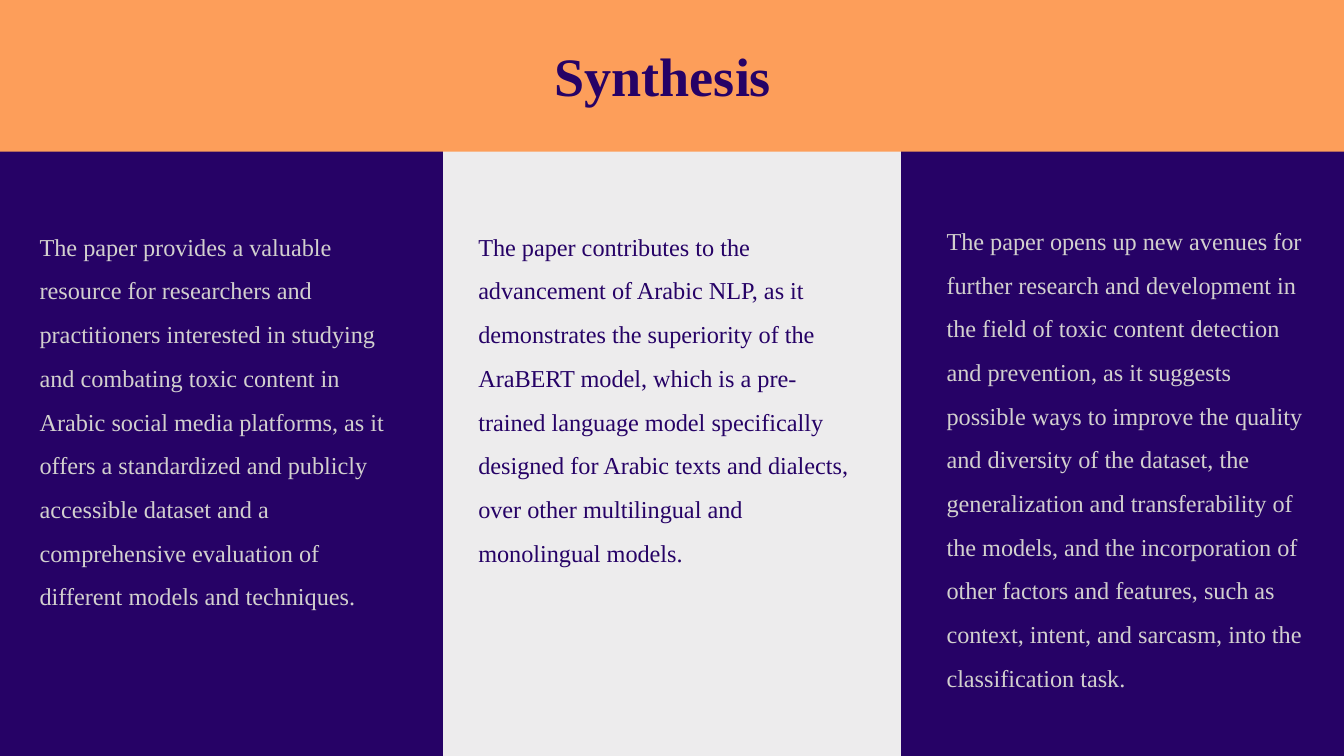
import dataclasses

import pptx
import pptx.dml.color
import pptx.enum.shapes
import pptx.enum.text
import pptx.util

Cm = pptx.util.Cm
Pt = pptx.util.Pt

INDIGO = "260266"
ORANGE = "FD9E5A"
PALE_GREY = "EDECED"
SOFT_GREY = "D2D0CE"
FONT_NAME = "Times New Roman"
SLIDE_WIDTH = 25.4
SLIDE_HEIGHT = 14.29
SIDE_WIDTH = 8.37


@dataclasses.dataclass(frozen=True)
class Box:
    left: float
    top: float
    width: float
    height: float

    def lengths(self) -> tuple:
        return tuple(Cm(value) for value in dataclasses.astuple(self))


@dataclasses.dataclass(frozen=True)
class Panel:
    box: Box
    color: str


@dataclasses.dataclass(frozen=True)
class Finding:
    box: Box
    color: str
    text: str


PANELS = [
    Panel(Box(0, 0, SIDE_WIDTH, SLIDE_HEIGHT), INDIGO),
    Panel(Box(SLIDE_WIDTH - SIDE_WIDTH, 0, SIDE_WIDTH, SLIDE_HEIGHT), INDIGO),
    Panel(Box(0, 0, SLIDE_WIDTH, 2.87), ORANGE),
]

FINDINGS = [
    Finding(
        Box(0.5, 3.86, 7.44, 9.65),
        SOFT_GREY,
        "The paper provides a valuable resource for researchers and practitioners "
        "interested in studying and combating toxic content in Arabic social media "
        "platforms, as it offers a standardized and publicly accessible dataset and "
        "a comprehensive evaluation of different models and techniques.",
    ),
    Finding(
        Box(8.79, 3.86, 7.72, 9.75),
        INDIGO,
        "The paper contributes to the advancement of Arabic NLP, as it demonstrates "
        "the superiority of the AraBERT model, which is a pre-trained language model "
        "specifically designed for Arabic texts and dialects, over other "
        "multilingual and monolingual models.",
    ),
    Finding(
        Box(17.64, 3.75, 7.27, 9.75),
        SOFT_GREY,
        "The paper opens up new avenues for further research and development in the "
        "field of toxic content detection and prevention, as it suggests possible "
        "ways to improve the quality and diversity of the dataset, the "
        "generalization and transferability of the models, and the incorporation of "
        "other factors and features, such as context, intent, and sarcasm, into the "
        "classification task.",
    ),
]


def rgb(color: str) -> pptx.dml.color.RGBColor:
    return pptx.dml.color.RGBColor.from_string(color)


def write(shape, text: str, size: float, color: str, bold: bool = False):
    frame = shape.text_frame
    frame.text = text
    frame.word_wrap = True
    frame.auto_size = pptx.enum.text.MSO_AUTO_SIZE.NONE
    frame.vertical_anchor = pptx.enum.text.MSO_ANCHOR.TOP
    frame.margin_left = frame.margin_right = Cm(0.25)
    frame.margin_top = frame.margin_bottom = Cm(0.25)
    paragraph = frame.paragraphs[0]
    paragraph.font.name = FONT_NAME
    paragraph.font.size = Pt(size)
    paragraph.font.bold = bold
    paragraph.font.color.rgb = rgb(color)
    return paragraph


def draw_panel(slide, panel: Panel) -> None:
    area = slide.shapes.add_shape(
        pptx.enum.shapes.MSO_SHAPE.RECTANGLE, *panel.box.lengths()
    )
    area.shadow.inherit = False
    area.fill.solid()
    area.fill.fore_color.rgb = rgb(panel.color)
    area.line.fill.background()


def place_title(slide, text: str, box: Box) -> None:
    title = slide.shapes.title
    title.left, title.top, title.width, title.height = box.lengths()
    paragraph = write(title, text, 29, INDIGO, bold=True)
    paragraph.alignment = pptx.enum.text.PP_ALIGN.CENTER
    title.element.getparent().append(title.element)


def draw_finding(slide, finding: Finding) -> None:
    column = slide.shapes.add_textbox(*finding.box.lengths())
    paragraph = write(column, finding.text, 13, finding.color)
    paragraph.alignment = pptx.enum.text.PP_ALIGN.LEFT
    paragraph.line_spacing = 1.5
    paragraph.space_before = Pt(18)


def main() -> None:
    presentation = pptx.Presentation()
    presentation.slide_width = Cm(SLIDE_WIDTH)
    presentation.slide_height = Cm(SLIDE_HEIGHT)
    slide = presentation.slides.add_slide(presentation.slide_layouts[5])
    slide.background.fill.solid()
    slide.background.fill.fore_color.rgb = rgb(PALE_GREY)
    for panel in PANELS:
        draw_panel(slide, panel)
    place_title(slide, "Synthesis", Box(6.33, 0.56, 12.4, 2.41))
    for finding in FINDINGS:
        draw_finding(slide, finding)
    presentation.save("out.pptx")


if __name__ == "__main__":
    main()
